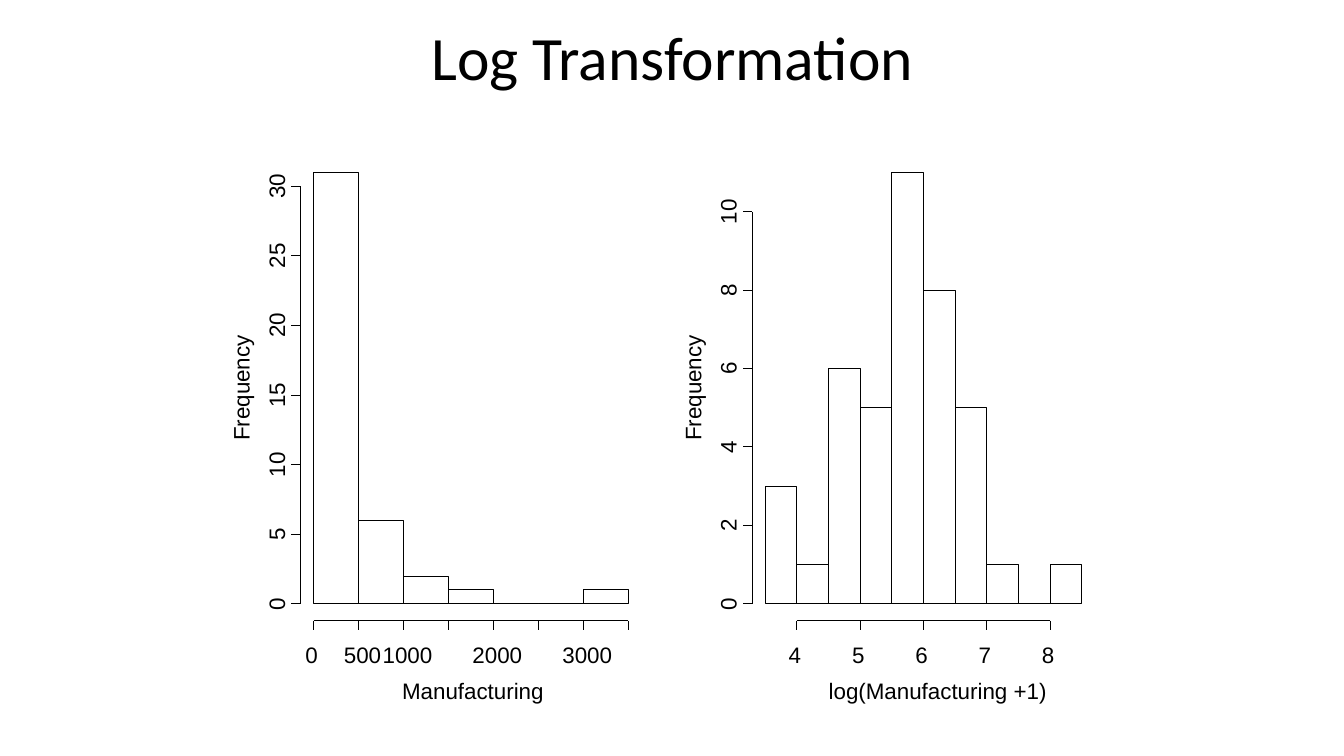
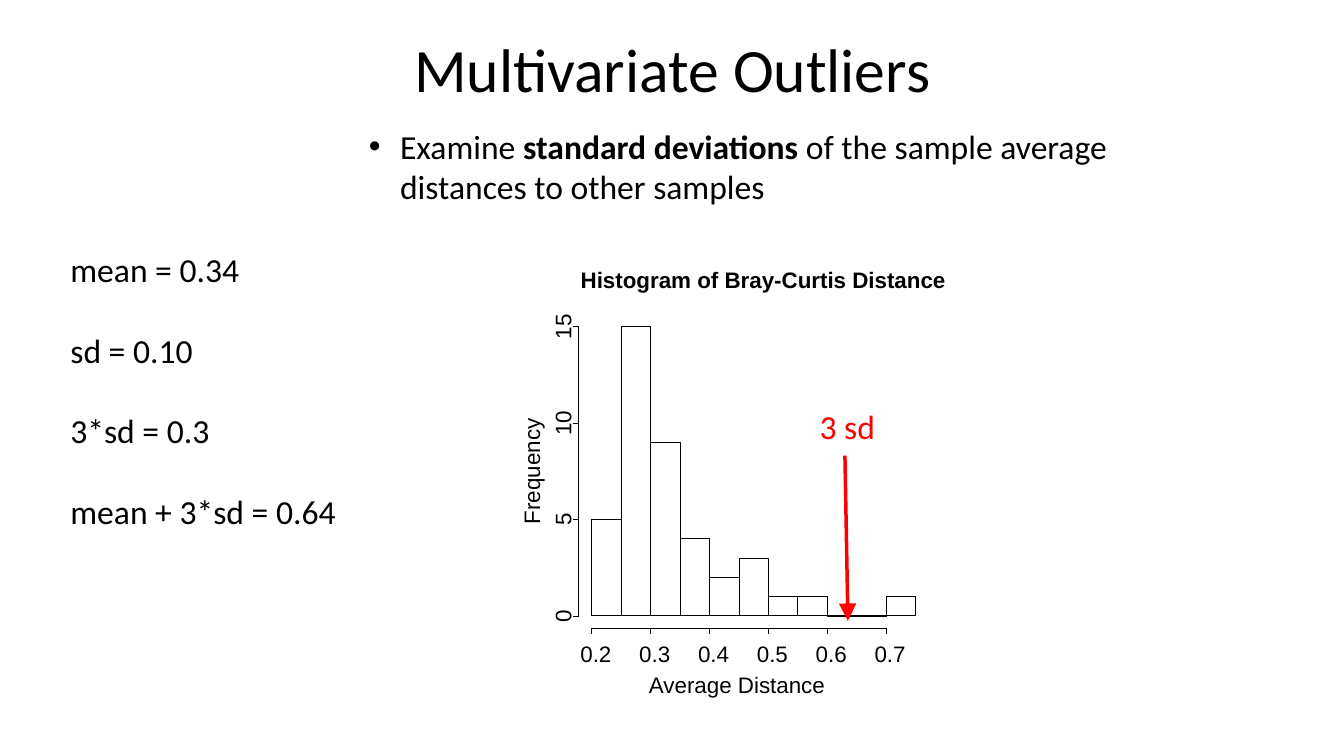
import dataclasses

import pptx
import pptx.dml.color
import pptx.enum.shapes
import pptx.enum.text
import pptx.oxml.ns
import pptx.util
from lxml import etree

Inches = pptx.util.Inches
Pt = pptx.util.Pt
Align = pptx.enum.text.PP_ALIGN
Anchor = pptx.enum.text.MSO_ANCHOR
qn = pptx.oxml.ns.qn

# Shared style
BLACK = pptx.dml.color.RGBColor(0, 0, 0)
RED = pptx.dml.color.RGBColor(255, 0, 0)
BODY = "Calibri"
PLOT = "Arial"


# Spacing around a plot: distances from its bars, in inches
@dataclasses.dataclass
class Gaps:
    side: float    # bars to y axis
    below: float   # bars to x axis
    tick: float    # tick length
    y_text: float  # y axis to its labels
    y_name: float  # y axis to its name
    x_text: float  # bars to x labels
    x_name: float  # bars to x name
    line: float    # line width in points


LARGE = Gaps(0.13, 0.17, 0.09, 0.24, 0.59, 0.51, 0.86, 0.63)
SMALL = Gaps(0.13, 0.12, 0.06, 0.16, 0.47, 0.38, 0.68, 0.5)


@dataclasses.dataclass
class Plot:
    left: float
    base: float
    width: float
    height: float
    counts: list
    y_step: int
    x_first: int   # bin edge of the first x tick
    x_step: int    # bins between x ticks
    labels: list   # one per x tick, empty for a bare tick
    name: str
    name_x: float  # centre of the x name
    gaps: Gaps


def style(par, size, font, color=BLACK, bold=None):
    for run in par.runs:
        run.font.size = Pt(size)
        run.font.name = font
        run.font.color.rgb = color
        if bold is not None:
            run.font.bold = bold


def add_box(slide, left, top, width, height, wrap=False):
    box = slide.shapes.add_textbox(
        Inches(left), Inches(top), Inches(width), Inches(height))
    box.text_frame.word_wrap = wrap
    return box


def add_title(slide, text, top):
    frame = add_box(slide, 0.92, top, 11.5, 1.45, wrap=True).text_frame
    frame.vertical_anchor = Anchor.MIDDLE
    frame.text = text
    par = frame.paragraphs[0]
    par.alignment = Align.CENTER
    par.line_spacing = 0.9
    style(par, 44, BODY)


def add_label(slide, text, x, y, turn=0, bold=False):
    """Plot text centred on (x, y)."""
    width, height = 0.12 * len(text) + 0.05, 0.27
    box = add_box(slide, x - width / 2, y - height / 2, width, height)
    box.rotation = turn
    frame = box.text_frame
    frame.margin_left = frame.margin_right = 0
    frame.margin_top = frame.margin_bottom = 0
    frame.text = text
    frame.paragraphs[0].alignment = Align.CENTER
    style(frame.paragraphs[0], 16, PLOT, bold=bold)


def add_line(slide, x1, y1, x2, y2, width, color=BLACK, arrow=False):
    line = slide.shapes.add_connector(
        pptx.enum.shapes.MSO_CONNECTOR.STRAIGHT,
        Inches(x1), Inches(y1), Inches(x2), Inches(y2))
    line.line.color.rgb = color
    line.line.width = Pt(width)
    if arrow:
        etree.SubElement(line.line._get_or_add_ln(), qn("a:tailEnd"),
                         type="triangle", w="lg", len="lg")
    etree.SubElement(line._element.spPr, qn("a:effectLst"))


def add_bar(slide, left, top, width, height, line):
    bar = slide.shapes.add_shape(
        pptx.enum.shapes.MSO_SHAPE.RECTANGLE,
        Inches(left), Inches(top), Inches(width), Inches(height))
    bar.shadow.inherit = False
    bar.fill.background()
    bar.line.color.rgb = BLACK
    bar.line.width = Pt(line)


def add_plot(slide, plot):
    gaps = plot.gaps
    peak = max(plot.counts)
    unit = plot.height / peak
    bin_w = plot.width / len(plot.counts)

    # Bars
    for i, count in enumerate(plot.counts):
        add_bar(slide, plot.left + i * bin_w, plot.base - count * unit,
                bin_w, count * unit, gaps.line)

    # Horizontal axis
    axis_y = plot.base + gaps.below
    ticks = [plot.left + (plot.x_first + i * plot.x_step) * bin_w
             for i in range(len(plot.labels))]
    add_line(slide, ticks[0], axis_y, ticks[-1], axis_y, gaps.line)
    for x, text in zip(ticks, plot.labels):
        add_line(slide, x, axis_y, x, axis_y + gaps.tick, gaps.line)
        if text:
            shift = 0.04 if len(text) > 1 else -0.02
            add_label(slide, text, x + shift, plot.base + gaps.x_text)
    add_label(slide, plot.name, plot.name_x, plot.base + gaps.x_name)

    # Vertical axis
    axis_x = plot.left - gaps.side
    values = range(0, peak + 1, plot.y_step)
    add_line(slide, axis_x, plot.base, axis_x,
             plot.base - values[-1] * unit, gaps.line)
    for value in values:
        y = plot.base - value * unit
        add_line(slide, axis_x, y, axis_x - gaps.tick, y, gaps.line)
        add_label(slide, str(value), axis_x - gaps.y_text, y, turn=270)
    add_label(slide, "Frequency", axis_x - gaps.y_name,
              plot.base - plot.height / 2, turn=270)


def add_bullet(slide, parts):
    """One bulleted paragraph from (text, bold) parts."""
    frame = add_box(slide, 3.56, 1.2, 7.78, 0.91, wrap=True).text_frame
    par = frame.paragraphs[0]
    for text, bold in parts:
        run = par.add_run()
        run.text = text
        run.font.bold = bold
    style(par, 24, BODY)
    props = par._p.get_or_add_pPr()
    props.set("marL", str(Inches(0.31)))
    props.set("indent", str(-Inches(0.31)))
    etree.SubElement(props, qn("a:buFont"), typeface="Arial")
    etree.SubElement(props, qn("a:buChar"), char="•")


def add_lines(slide, lines, left, top, width, height, color=BLACK):
    frame = add_box(slide, left, top, width, height).text_frame
    frame.text = "\n".join(lines)
    for i, par in enumerate(frame.paragraphs):
        par.space_before = Pt(28.8 if i else 0)
        style(par, 24, BODY, color)


def add_logs(slide):
    add_title(slide, "Log Transformation", -0.12)
    add_plot(slide, Plot(
        3.11, 5.99, 3.12, 4.28, [31, 6, 2, 1, 0, 0, 1], 5, 0, 1,
        ["0", "500", "1000", "", "2000", "", "3000", ""],
        "Manufacturing", 4.69, LARGE))
    add_plot(slide, Plot(
        7.59, 5.99, 3.14, 4.28, [3, 1, 6, 5, 11, 8, 5, 1, 0, 1], 2, 1, 2,
        ["4", "5", "6", "7", "8"],
        "log(Manufacturing +1)", 9.3, LARGE))


def add_tests(slide):
    add_title(slide, "Multivariate Outliers", -0.01)
    add_bullet(slide, [("Examine ", False), ("standard deviations ", True),
                       ("of the sample average distances to other samples",
                        False)])
    add_plot(slide, Plot(
        5.87, 6.11, 3.21, 2.87, [5, 15, 9, 4, 2, 3, 1, 1, 0, 0, 1], 5, 0, 2,
        ["0.2", "0.3", "0.4", "0.5", "0.6", "0.7"],
        "Average Distance", 7.31, SMALL))
    add_label(slide, "Histogram of Bray-Curtis Distance", 7.57, 2.78,
              bold=True)
    add_lines(slide, ["mean = 0.34", "sd = 0.10", "3*sd = 0.3",
                      "mean + 3*sd = 0.64"], 0.6, 2.42, 2.86, 2.93)

    # Cut-off marker
    add_line(slide, 8.38, 4.52, 8.41, 6.16, 2.5, RED, arrow=True)
    add_lines(slide, ["3 sd"], 8.03, 3.98, 0.76, 0.5, RED)


def main():
    deck = pptx.Presentation()
    deck.slide_width = Inches(13.33)
    deck.slide_height = Inches(7.5)
    for build in (add_logs, add_tests):
        build(deck.slides.add_slide(deck.slide_layouts[6]))
    deck.save("out.pptx")


if __name__ == "__main__":
    main()
